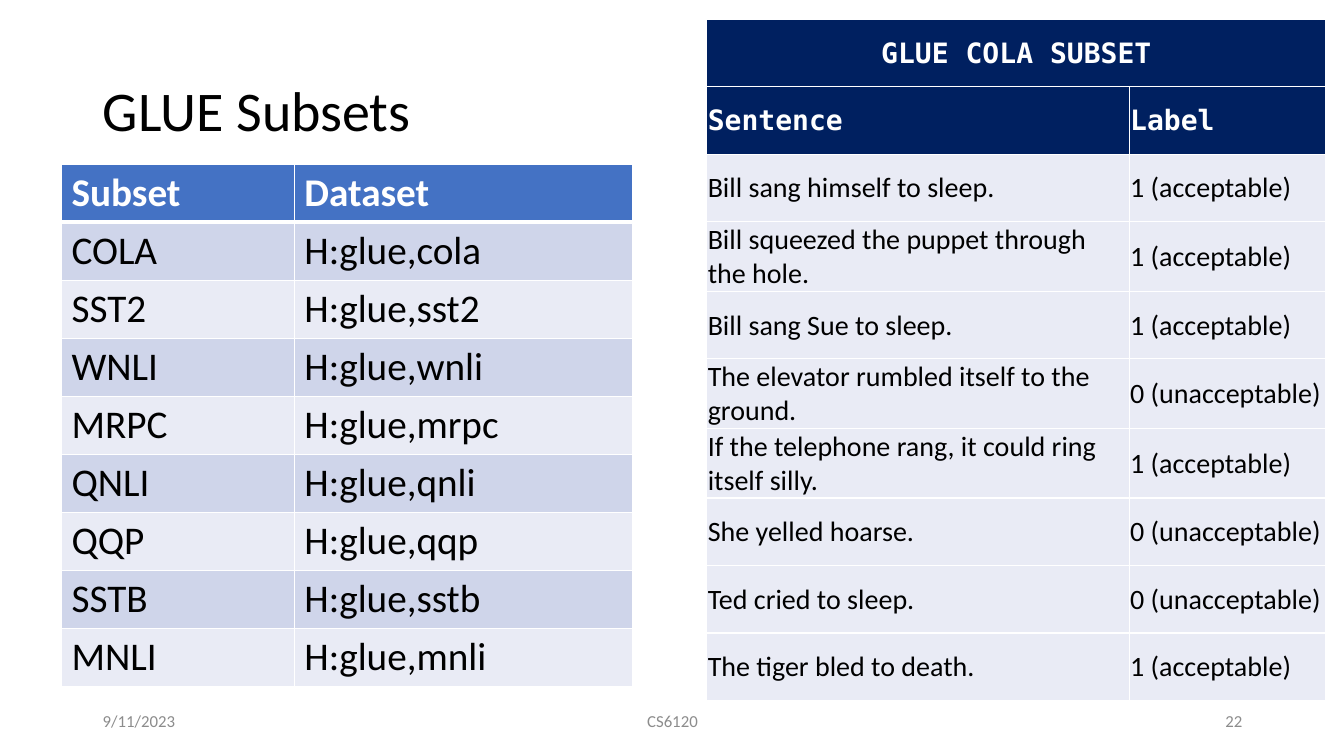
from lxml import etree
from pptx import Presentation
from pptx.dml.color import RGBColor
from pptx.enum.text import MSO_ANCHOR, PP_ALIGN
from pptx.oxml.ns import qn
from pptx.util import Inches, Pt

LEFT, CENTER, RIGHT = PP_ALIGN.LEFT, PP_ALIGN.CENTER, PP_ALIGN.RIGHT
TOP, MIDDLE = MSO_ANCHOR.TOP, MSO_ANCHOR.MIDDLE
BLACK = RGBColor(0x00, 0x00, 0x00)
WHITE = RGBColor(0xFF, 0xFF, 0xFF)
GRAY = RGBColor(0x8C, 0x8C, 0x8C)
BLUE = RGBColor(0x44, 0x72, 0xC4)
NAVY = RGBColor(0x00, 0x20, 0x60)
BAND = RGBColor(0xCF, 0xD5, 0xEA)
PALE = RGBColor(0xE9, 0xEB, 0xF5)
SANS, MONO = "Calibri", "DejaVu Sans Mono"
GOOD, BAD = "1 (acceptable)", "0 (unacceptable)"

SUBSETS = ["COLA", "SST2", "WNLI", "MRPC", "QNLI", "QQP", "SSTB", "MNLI"]
SAMPLES = [
    ("Bill sang himself to sleep.", GOOD),
    ("Bill squeezed the puppet through the hole.", GOOD),
    ("Bill sang Sue to sleep.", GOOD),
    ("The elevator rumbled itself to the ground.", BAD),
    ("If the telephone rang, it could ring itself silly.", GOOD),
    ("She yelled hoarse.", BAD),
    ("Ted cried to sleep.", BAD),
    ("The tiger bled to death.", GOOD),
]


def write(frame, text, size, color=BLACK, font=SANS, bold=False, align=LEFT, anchor=MIDDLE):
    frame.word_wrap = True
    frame.vertical_anchor = anchor
    para = frame.paragraphs[0]
    para.alignment = align
    run = para.add_run()
    run.text = text
    run.font.size = Pt(size)
    run.font.name = font
    run.font.bold = bold
    run.font.color.rgb = color


def paint(cell, fill, above=1, below=1):
    """Fill a cell and give it white borders, with widths in points."""
    props = cell._tc.get_or_add_tcPr()
    for side, width in (("L", 1), ("R", 1), ("T", above), ("B", below)):
        line = etree.SubElement(props, qn(f"a:ln{side}"), w=str(Pt(width)))
        solid = etree.SubElement(line, qn("a:solidFill"))
        etree.SubElement(solid, qn("a:srgbClr"), val=str(WHITE))
    cell.fill.solid()
    cell.fill.fore_color.rgb = fill


prs = Presentation()
prs.slide_width, prs.slide_height = Inches(13.33), Inches(7.5)
slide = prs.slides.add_slide(prs.slide_layouts[5])

title = slide.shapes.title
title.left, title.top = Inches(0.92), Inches(0.4)
title.width, title.height = Inches(11.5), Inches(1.45)
write(title.text_frame, "GLUE Subsets", 40)
title.text_frame.paragraphs[0].line_spacing = 0.9

# Subset list
rows = [("Subset", "Dataset")] + [(name, f"H:glue,{name.lower()}") for name in SUBSETS]
table = slide.shapes.add_table(
    len(rows), 2, Inches(0.61), Inches(1.63), Inches(5.66), Inches(0.57 * len(rows))
).table
table.columns[0].width, table.columns[1].width = Inches(2.31), Inches(3.35)
for r, row in enumerate(rows):
    head = r == 0
    fill = BLUE if head else BAND if r % 2 else PALE
    for c, text in enumerate(row):
        cell = table.cell(r, c)
        paint(cell, fill, above=3 if r == 1 else 1, below=3 if head else 1)
        write(cell.text_frame, text, 28, WHITE if head else BLACK, bold=head)
        cell.vertical_anchor = TOP

# Sample sentences
rows = [("GLUE COLA SUBSET", ""), ("Sentence", "Label")] + SAMPLES
table = slide.shapes.add_table(
    len(rows), 2, Inches(7.01), Inches(0.19), Inches(6.14), Inches(0.67 * len(rows))
).table
table.columns[0].width, table.columns[1].width = Inches(4.19), Inches(1.95)
table.cell(0, 0).merge(table.cell(0, 1))
for r, row in enumerate(rows):
    head = r < 2
    for c, text in enumerate(row):
        cell = table.cell(r, c)
        paint(cell, NAVY if head else PALE)
        cell.margin_left = cell.margin_right = cell.margin_top = Inches(0.01)
        cell.margin_bottom = 0
        cell.vertical_anchor = MIDDLE
        if text:
            write(cell.text_frame, text, 20, WHITE if head else BLACK,
                  font=MONO if head else SANS, bold=head,
                  align=CENTER if r == 0 else LEFT)

# Footer
for text, left, width, align in (
    ("CS6120", 4.42, 4.5, CENTER),
    ("9/11/2023", 0.92, 3, LEFT),
    ("22", 9.42, 3, RIGHT),
):
    box = slide.shapes.add_textbox(Inches(left), Inches(6.95), Inches(width), Inches(0.4))
    write(box.text_frame, text, 12, GRAY, align=align)

prs.save("out.pptx")
